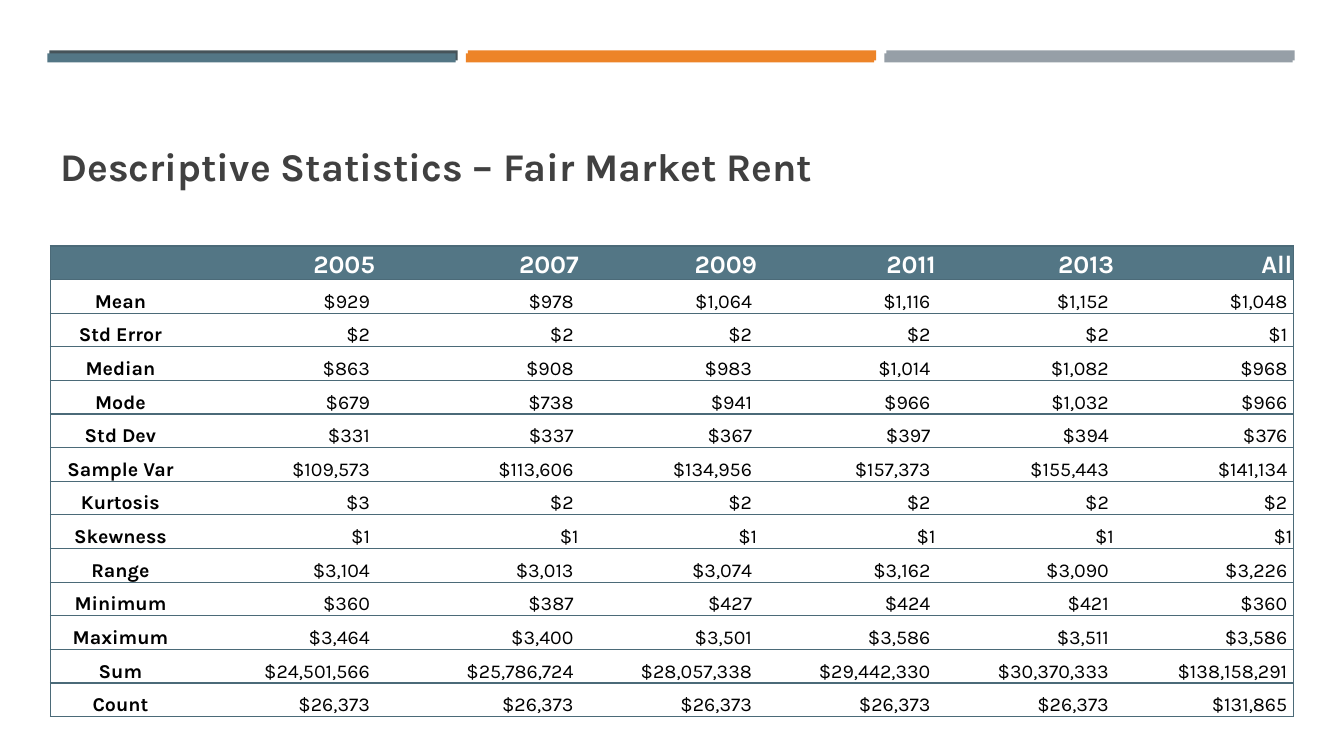
from lxml import etree
from pptx import Presentation
from pptx.dml.color import RGBColor
from pptx.enum import shapes, text
from pptx.oxml import ns
from pptx.util import Inches, Pt

TEAL = RGBColor(0x53, 0x76, 0x85)
SLATE = RGBColor(0x46, 0x53, 0x59)
ORANGE = RGBColor(0xED, 0x84, 0x28)
GREY = RGBColor(0x96, 0x9F, 0xA7)
RULE = RGBColor(0x4B, 0x6A, 0x78)
INK = RGBColor(0x40, 0x40, 0x40)
BLACK = RGBColor(0, 0, 0)
WHITE = RGBColor(255, 255, 255)

FONT = "Karla"
PLAIN_TABLE_STYLE = "{2D5ABB26-0587-4C30-8999-92F81FD0307C}"
COLUMN_WIDTHS = [1.39, 1.84, 2.02, 1.77, 1.77, 1.77, 1.77]
FLUSH_ROW = "Skewness"
STATISTICS = [
    ["", "2005", "2007", "2009", "2011", "2013", "All"],
    ["Mean", "$929", "$978", "$1,064", "$1,116", "$1,152", "$1,048"],
    ["Std Error", "$2", "$2", "$2", "$2", "$2", "$1"],
    ["Median", "$863", "$908", "$983", "$1,014", "$1,082", "$968"],
    ["Mode", "$679", "$738", "$941", "$966", "$1,032", "$966"],
    ["Std Dev", "$331", "$337", "$367", "$397", "$394", "$376"],
    ["Sample Var", "$109,573", "$113,606", "$134,956", "$157,373", "$155,443", "$141,134"],
    ["Kurtosis", "$3", "$2", "$2", "$2", "$2", "$2"],
    ["Skewness", "$1", "$1", "$1", "$1", "$1", "$1"],
    ["Range", "$3,104", "$3,013", "$3,074", "$3,162", "$3,090", "$3,226"],
    ["Minimum", "$360", "$387", "$427", "$424", "$421", "$360"],
    ["Maximum", "$3,464", "$3,400", "$3,501", "$3,586", "$3,511", "$3,586"],
    ["Sum", "$24,501,566", "$25,786,724", "$28,057,338", "$29,442,330", "$30,370,333", "$138,158,291"],
    ["Count", "$26,373", "$26,373", "$26,373", "$26,373", "$26,373", "$131,865"],
]


def apply(target, values):
    for name, value in values.items():
        setattr(target, name, value)


def write(para, words, size, color, bold):
    span = para.add_run()
    span.text = words
    apply(span.font, {"name": FONT, "size": Pt(size), "bold": bold})
    span.font.color.rgb = color


def add_bars(page, left, top, height, colors):
    for index, color in enumerate(colors):
        bar = page.shapes.add_shape(
            shapes.MSO_SHAPE.RECTANGLE,
            Inches(left + 4.15 * index), Inches(top), Inches(4.05), Inches(height))
        bar.shadow.inherit = False
        bar.fill.solid()
        bar.fill.fore_color.rgb = color
        bar.line.fill.background()


def set_title(page, words):
    title = page.shapes.title
    apply(title, {"left": Inches(0.5), "top": Inches(0.77),
                  "width": Inches(12.33), "height": Inches(1.16)})
    apply(title.text_frame, {"vertical_anchor": text.MSO_ANCHOR.BOTTOM, "word_wrap": True})
    para = title.text_frame.paragraphs[0]
    para.alignment = text.PP_ALIGN.LEFT
    write(para, words, 28, INK, True)


def add_borders(cell, sides):
    properties = cell._tc.get_or_add_tcPr()
    for side in sides:
        line = etree.SubElement(properties, ns.qn(f"a:ln{side}"), w=str(Pt(1)))
        fill = etree.SubElement(line, ns.qn("a:solidFill"))
        etree.SubElement(fill, ns.qn("a:srgbClr"), val=str(RULE))


def fill_cell(cell, words, row, column):
    header = row == 0
    label = column == 0
    last = column == len(COLUMN_WIDTHS) - 1
    flush = header or label or (STATISTICS[row][0] == FLUSH_ROW and column > 1)
    add_borders(cell, ["L"] * label + ["R"] * last + ["T", "B"])
    if header:
        cell.fill.solid()
        cell.fill.fore_color.rgb = TEAL
    else:
        cell.fill.background()
    apply(cell, {"margin_left": Inches(0.01), "margin_top": Inches(0.01),
                 "margin_right": Inches(0.01 if flush else 0.06), "margin_bottom": 0,
                 "vertical_anchor": text.MSO_ANCHOR.BOTTOM})
    para = cell.text_frame.paragraphs[0]
    para.alignment = text.PP_ALIGN.CENTER if label else text.PP_ALIGN.RIGHT
    if words:
        write(para, words, 18 if header else 14, WHITE if header else BLACK, header or label)


def add_statistics(page):
    frame = page.shapes.add_table(
        len(STATISTICS), len(COLUMN_WIDTHS),
        Inches(0.5), Inches(2.44), Inches(12.33), Inches(4.67))
    table = frame.table
    table._tbl.tblPr.find(ns.qn("a:tableStyleId")).text = PLAIN_TABLE_STYLE
    table.horz_banding = False
    for column, width in zip(table.columns, COLUMN_WIDTHS):
        column.width = Inches(width)
    for row, values in enumerate(STATISTICS):
        for column, words in enumerate(values):
            fill_cell(table.cell(row, column), words, row, column)


def main():
    deck = Presentation()
    apply(deck, {"slide_width": Inches(13.33), "slide_height": Inches(7.5)})
    page = deck.slides.add_slide(deck.slide_layouts[5])
    add_bars(page, 0.49, 0.5, 0.1, [SLATE, ORANGE, GREY])
    add_bars(page, 0.47, 0.53, 0.09, [TEAL, ORANGE, GREY])
    set_title(page, "Descriptive Statistics – Fair Market Rent")
    add_statistics(page)
    deck.save("out.pptx")


if __name__ == "__main__":
    main()
